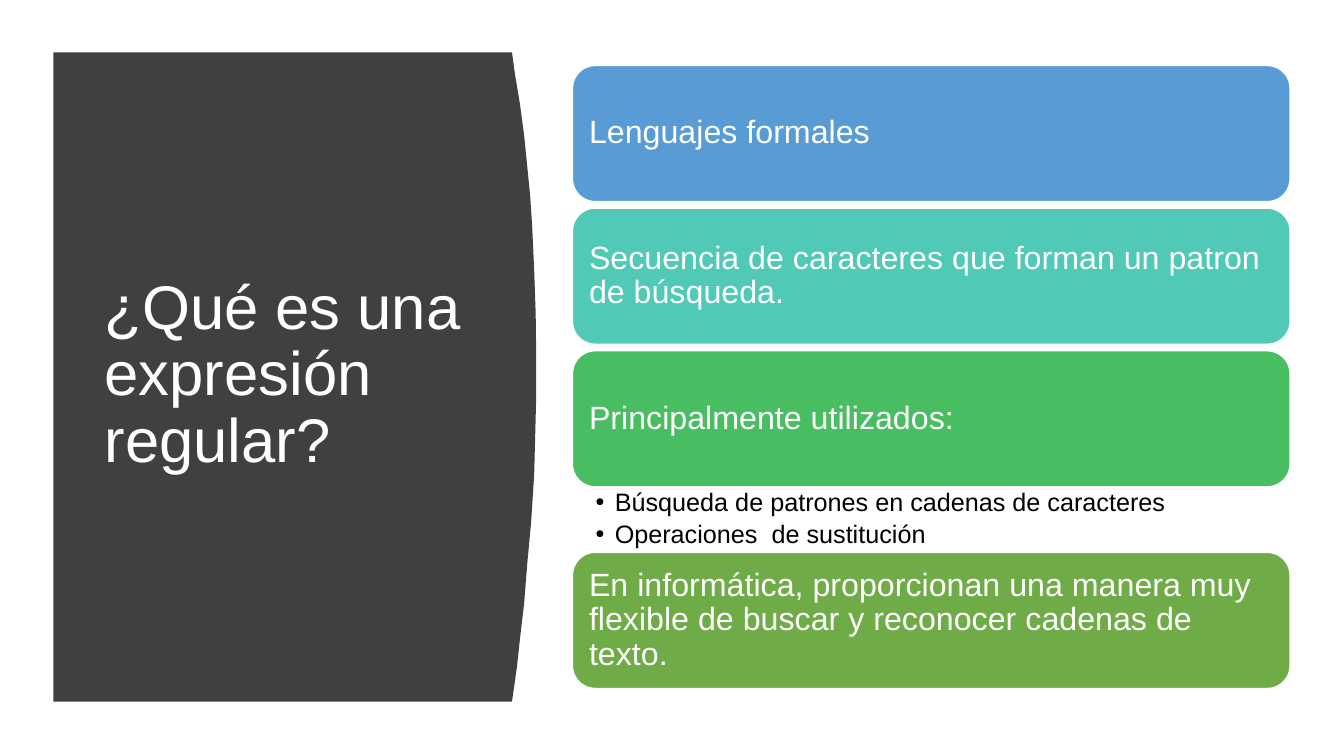
from pptx import Presentation
from pptx.dml.color import RGBColor
from pptx.enum.shapes import MSO_SHAPE
from pptx.enum.text import MSO_ANCHOR, PP_ALIGN
from pptx.util import Pt
from lxml import etree

ROUNDED = MSO_SHAPE.ROUNDED_RECTANGLE
TOP, MIDDLE = MSO_ANCHOR.TOP, MSO_ANCHOR.MIDDLE
LEFT = PP_ALIGN.LEFT

WHITE = RGBColor(0xFF, 0xFF, 0xFF)
BLACK = RGBColor(0x00, 0x00, 0x00)
CHARCOAL = RGBColor(0x40, 0x40, 0x40)
BLUE = RGBColor(0x59, 0x9B, 0xD5)
TEAL = RGBColor(0x50, 0xC9, 0xB6)
GREEN = RGBColor(0x48, 0xBD, 0x62)
OLIVE = RGBColor(0x6F, 0xAB, 0x46)

# Content: each card has a text, a colour and its bullets
TITLE = "¿Qué es una expresión regular?"
CARDS = [
    ("Lenguajes formales", BLUE, []),
    ("Secuencia de caracteres que forman un patron de búsqueda.", TEAL, []),
    ("Principalmente utilizados:", GREEN,
     ["Búsqueda de patrones en cadenas de caracteres",
      "Operaciones  de sustitución"]),
    ("En informática, proporcionan una manera muy flexible de buscar y "
     "reconocer cadenas de texto.", OLIVE, []),
]

# Layout in px, 200 to the inch
PX = 4572
SLIDE_W, SLIDE_H = 2667, 1500
PANEL = [
    (106, 104), (1016, 104), (1022, 148), (1032, 208), (1040, 268),
    (1046, 328), (1052, 388), (1056, 448), (1060, 536), (1063, 622),
    (1064, 706), (1064, 788), (1062, 866), (1060, 942), (1054, 1036),
    (1046, 1122), (1040, 1198), (1032, 1266), (1026, 1322), (1020, 1364),
    (1016, 1392), (106, 1392),
]
TITLE_BOX = (188, 222, 748, 1048)
CARD_X, CARD_TOP, CARD_W, CARD_H, GAP = 1136, 130, 1424, 270, 13
BULLETS_H, BULLET_INDENT = 130, 38


def px(*values):
    return [v * PX for v in values]


def set_text(sp, lines, size, color=WHITE, anchor=MIDDLE,
             insets=(20, 20, 20, 20), bullets=False):
    tf = sp.text_frame
    tf.word_wrap = True
    tf.vertical_anchor = anchor
    (tf.margin_left, tf.margin_top,
     tf.margin_right, tf.margin_bottom) = px(*insets)
    for i, line in enumerate(lines):
        p = tf.add_paragraph() if i else tf.paragraphs[0]
        p.alignment = LEFT
        p.line_spacing = 0.9
        r = p.add_run()
        r.text = line
        r.font.name = "Arial"
        r.font.size = Pt(size)
        r.font.color.rgb = color
        if bullets:
            p.space_before = Pt(3.6 if i else 0)
            pPr = p._p.get_or_add_pPr()
            pPr.set("marL", str(BULLET_INDENT * PX))
            pPr.set("indent", str(-BULLET_INDENT * PX))
            ns = pPr.nsmap["a"]
            etree.SubElement(pPr, f"{{{ns}}}buFont", typeface="Arial")
            etree.SubElement(pPr, f"{{{ns}}}buChar", char="•")


prs = Presentation()
prs.slide_width, prs.slide_height = px(SLIDE_W, SLIDE_H)
s = prs.slides.add_slide(prs.slide_layouts[6])

# Curved title panel
outline = s.shapes.build_freeform(*PANEL[0], scale=PX)
outline.add_line_segments(PANEL[1:], close=True)
panel = outline.convert_to_shape()
panel.shadow.inherit = False
panel.fill.solid()
panel.fill.fore_color.rgb = CHARCOAL
panel.line.fill.background()

title = s.shapes.add_textbox(*px(*TITLE_BOX))
set_text(title, [TITLE], 44, insets=(20, 10, 20, 10))

# Stacked cards; bullets fill the space under their card
y = CARD_TOP
for text, color, bullets in CARDS:
    card = s.shapes.add_shape(ROUNDED, *px(CARD_X, y, CARD_W, CARD_H))
    card.adjustments[0] = 0.167
    card.shadow.inherit = False
    card.fill.solid()
    card.fill.fore_color.rgb = color
    card.line.color.rgb = WHITE
    card.line.width = Pt(1)
    set_text(card, [text], 23)
    y += CARD_H
    if bullets:
        box = s.shapes.add_textbox(*px(CARD_X, y, CARD_W, BULLETS_H))
        set_text(box, bullets, 18, color=BLACK, anchor=TOP,
                 insets=(46, 6, 36, 6), bullets=True)
        y += BULLETS_H
    else:
        y += GAP

prs.save("out.pptx")
